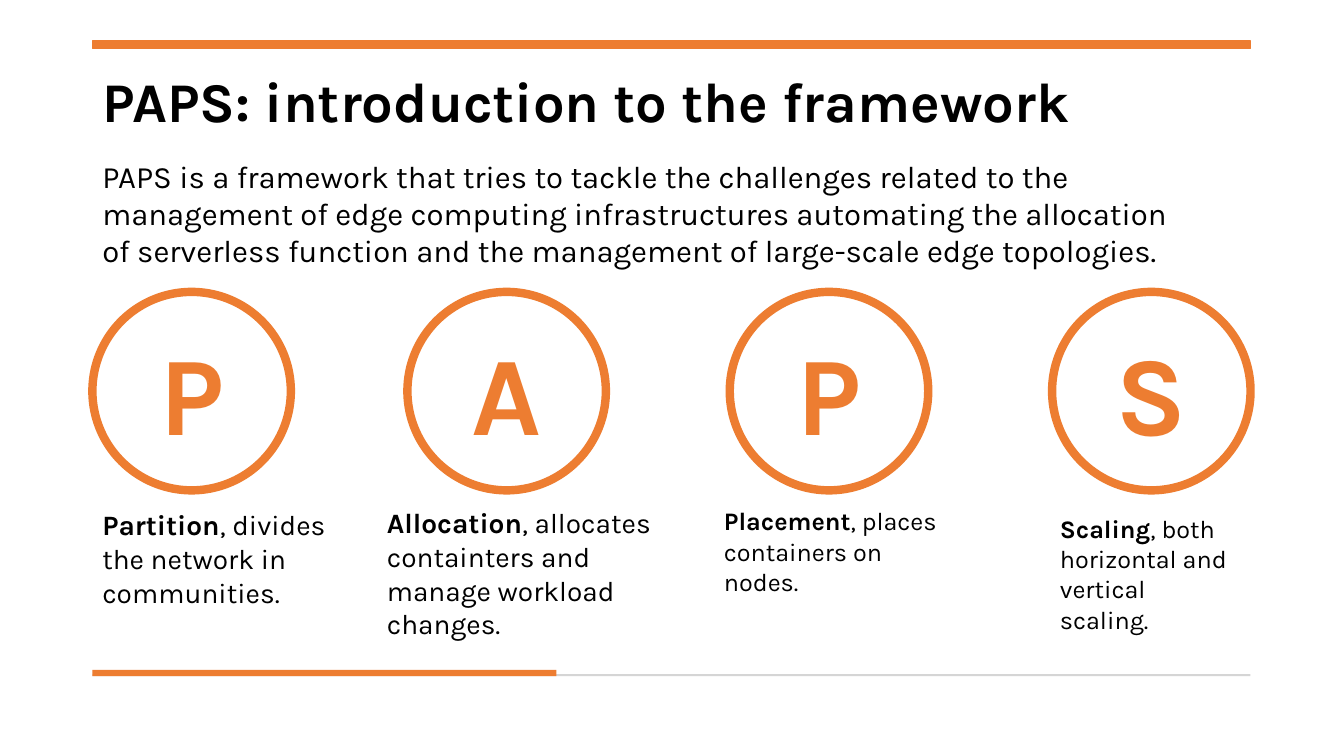
"""Build the slide that introduces the four parts of the PAPS framework."""
from dataclasses import dataclass

from pptx import Presentation
from pptx.dml.color import RGBColor
from pptx.enum.shapes import MSO_SHAPE
from pptx.enum.text import MSO_ANCHOR, PP_ALIGN
from pptx.util import Pt

TITLE = "PAPS: introduction to the framework"
INTRODUCTION = (
    "PAPS is a framework that tries to tackle the challenges related to the "
    "management of edge computing infrastructures automating the allocation "
    "of serverless function and the management of large-scale edge topologies."
)
PARTS = [
    {"name": "Partition", "detail": ", divides the network in communities.",
     "circle_left": 88, "caption": (88, 479, 239, 107), "size": 20},
    {"name": "Allocation", "detail": ", allocates containters and manage workload changes.",
     "circle_left": 388, "caption": (359, 477, 280, 139), "size": 20},
    {"name": "Placement", "detail": ", places containers on nodes.",
     "circle_left": 695, "caption": (680, 477, 230, 97), "size": 18},
    {"name": "Scaling", "detail": ", both horizontal and vertical scaling.",
     "circle_left": 1002, "caption": (1000, 484, 189, 97), "size": 18},
]


@dataclass(frozen=True)
class Theme:
    font: str = "Karla"
    ink: str = "000000"
    accent: str = "ED7D31"
    paper: str = "FFFFFF"
    track: str = "D5D5D5"
    title_size: float = 40
    body_size: float = 22.2
    letter_size: float = 80


THEME = Theme()
EMU_PER_PX = 9525
SLIDE_WIDTH, SLIDE_HEIGHT = 1280, 720
MARGIN, CONTENT_WIDTH = 88, 1103
CIRCLE_TOP, CIRCLE_SIZE = 278, 189


def scaled(*lengths):
    return [length * EMU_PER_PX for length in lengths]


def write(box, spans, size, color=THEME.ink, align=PP_ALIGN.LEFT,
          anchor=MSO_ANCHOR.TOP, line_spacing=None):
    frame = box.text_frame
    frame.word_wrap = True
    frame.vertical_anchor = anchor
    para = frame.paragraphs[0]
    para.alignment = align
    para.line_spacing = line_spacing
    for text, bold in spans:
        span = para.add_run()
        span.text = text
        span.font.name = THEME.font
        span.font.size = Pt(size)
        span.font.bold = bold
        span.font.color.rgb = RGBColor.from_string(color)


def add_text(page, area, spans, size, **text_format):
    write(page.shapes.add_textbox(*scaled(*area)), spans, size, **text_format)


def add_figure(page, kind, area, fill, outline=None, weight=0):
    figure = page.shapes.add_shape(kind, *scaled(*area))
    figure.shadow.inherit = False
    figure.fill.solid()
    figure.fill.fore_color.rgb = RGBColor.from_string(fill)
    if outline:
        figure.line.color.rgb = RGBColor.from_string(outline)
        figure.line.width = Pt(weight)
    else:
        figure.line.fill.background()
    return figure


def add_part(page, part):
    area = (part["circle_left"], CIRCLE_TOP, CIRCLE_SIZE, CIRCLE_SIZE)
    circle = add_figure(page, MSO_SHAPE.OVAL, area, THEME.paper, THEME.accent, 6)
    write(circle, [(part["name"][0], True)], THEME.letter_size, color=THEME.accent,
          align=PP_ALIGN.CENTER, anchor=MSO_ANCHOR.MIDDLE)
    add_text(page, part["caption"], [(part["name"], True), (part["detail"], False)],
             part["size"])


def main():
    deck = Presentation()
    deck.slide_width, deck.slide_height = scaled(SLIDE_WIDTH, SLIDE_HEIGHT)
    page = deck.slides.add_slide(deck.slide_layouts[6])
    add_text(page, (MARGIN, 61, CONTENT_WIDTH, 76), [(TITLE, True)], THEME.title_size,
             anchor=MSO_ANCHOR.MIDDLE, line_spacing=0.9)
    add_text(page, (MARGIN, 145, 1056, 144), [(INTRODUCTION, False)], THEME.body_size)
    add_figure(page, MSO_SHAPE.RECTANGLE, (MARGIN, 642, CONTENT_WIDTH, 2), THEME.track)
    add_figure(page, MSO_SHAPE.RECTANGLE, (MARGIN, 638, 442, 6), THEME.accent)
    for part in PARTS:
        add_part(page, part)
    add_figure(page, MSO_SHAPE.RECTANGLE, (MARGIN, 39, CONTENT_WIDTH, 7),
               THEME.accent, THEME.accent, 1)
    deck.save("out.pptx")


if __name__ == "__main__":
    main()
